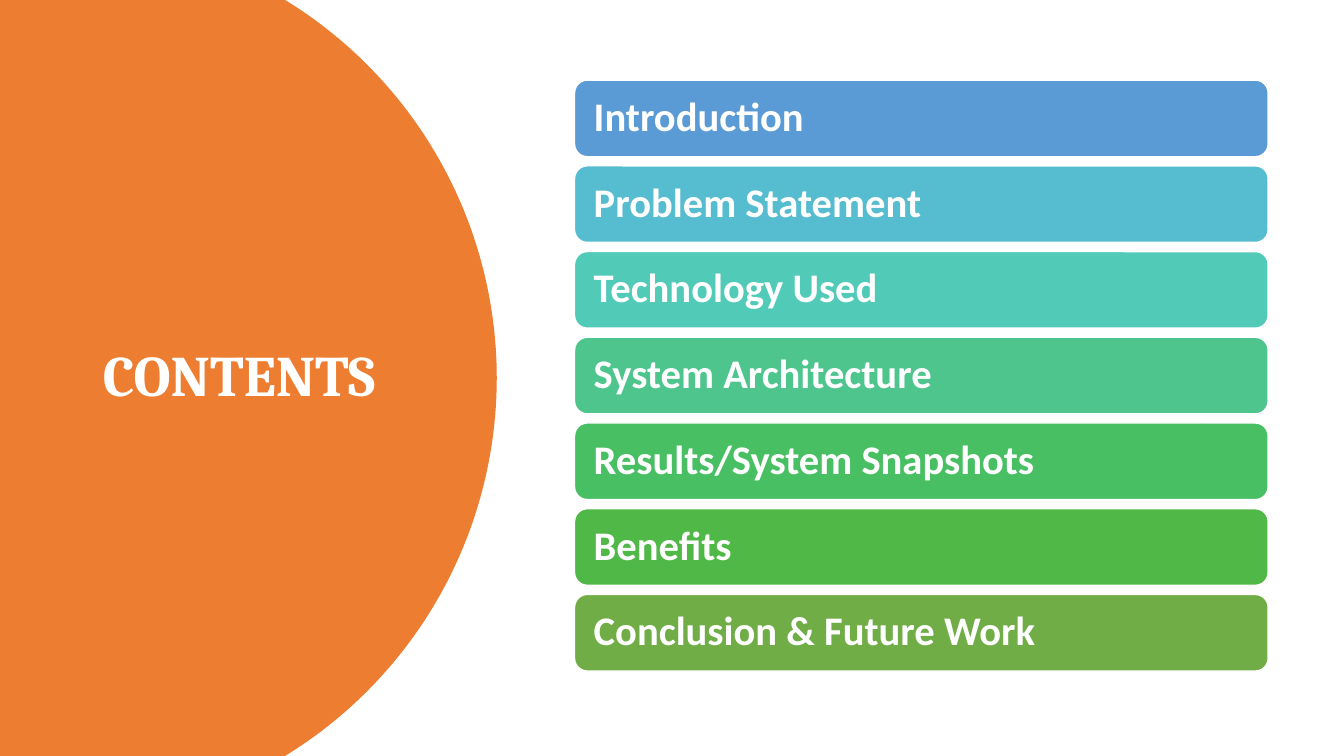
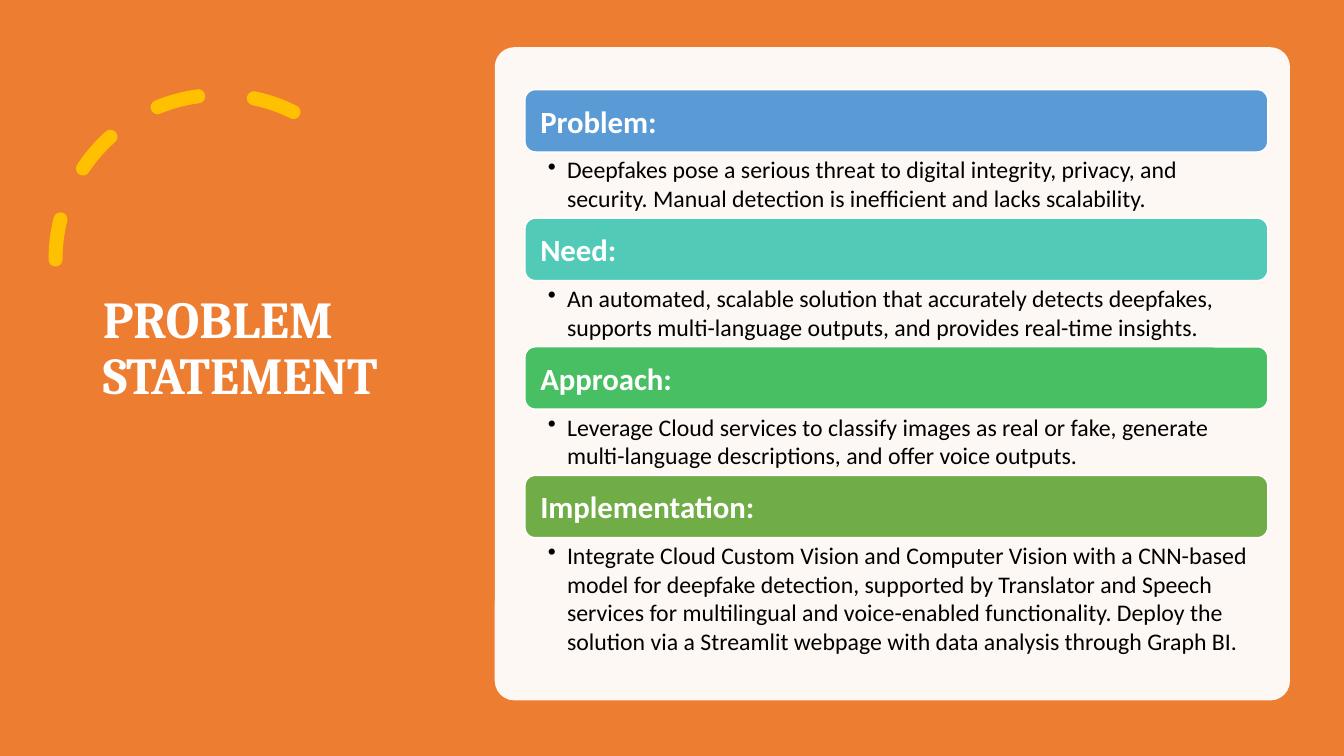
import math

import pptx
import pptx.dml.color
import pptx.enum.dml
import pptx.enum.shapes
import pptx.enum.text
import pptx.oxml
import pptx.oxml.ns
import pptx.util

Cm = pptx.util.Cm
Pt = pptx.util.Pt
MIDDLE = pptx.enum.text.MSO_ANCHOR.MIDDLE
TOP = pptx.enum.text.MSO_ANCHOR.TOP
SHAPES = pptx.enum.shapes.MSO_SHAPE

WIDTH, HEIGHT = 33.87, 19.05
ORANGE, AMBER, WHITE, BLACK = "ED7D31", "FFC000", "FFFFFF", "000000"
BAR_COLOURS = ["5B9BD5", "56BCD0", "52CAB8", "4DC58D", "49BF64", "50B846", "70AD47"]

CONTENTS = [
    "Introduction",
    "Problem Statement",
    "Technology Used",
    "System Architecture",
    "Results/System Snapshots",
    "Benefits",
    "Conclusion & Future Work",
]
SECTIONS = [
    ("Problem:", 1.67,
     "Deepfakes pose a serious threat to digital integrity, privacy, and security. "
     "Manual detection is inefficient and lacks scalability."),
    ("Need:", 1.67,
     "An automated, scalable solution that accurately detects deepfakes, "
     "supports multi-language outputs, and provides real-time insights."),
    ("Approach:", 1.67,
     "Leverage Cloud services to classify images as real or fake, generate "
     "multi-language descriptions, and offer voice outputs."),
    ("Implementation:", 3.1,
     "Integrate Cloud Custom Vision and Computer Vision with a CNN-based model for "
     "deepfake detection, supported by Translator and Speech services for multilingual "
     "and voice-enabled functionality. Deploy the solution via a Streamlit webpage with "
     "data analysis through Graph BI."),
]


def rgb(colour):
    """Turn a hex string into a colour."""
    return pptx.dml.color.RGBColor.from_string(colour)


def box(left, top, width, height):
    """Turn centimetres into the four lengths of a frame."""
    return Cm(left), Cm(top), Cm(width), Cm(height)


def write(frame, text, size, colour=WHITE, font="Calibri", bold=True, spacing=None,
          anchor=MIDDLE, insets=(0.25, 0.13, 0.25, 0.13), bullet_indent=None):
    """Fill a text frame with one formatted paragraph."""
    frame.word_wrap = True
    frame.auto_size = pptx.enum.text.MSO_AUTO_SIZE.NONE
    frame.vertical_anchor = anchor
    (frame.margin_left, frame.margin_top,
     frame.margin_right, frame.margin_bottom) = map(Cm, insets)
    paragraph = frame.paragraphs[0]
    paragraph.alignment = pptx.enum.text.PP_ALIGN.LEFT
    paragraph.line_spacing = spacing
    run = paragraph.add_run()
    run.text = text
    run.font.name, run.font.size, run.font.bold = font, Pt(size), bold
    run.font.color.rgb = rgb(colour)
    if bullet_indent:
        properties = paragraph._p.get_or_add_pPr()
        properties.set("marL", str(Cm(bullet_indent)))
        properties.set("indent", str(-Cm(bullet_indent)))
        bullet = pptx.oxml.parse_xml(
            f'<a:buChar {pptx.oxml.ns.nsdecls("a")} char="•"/>')
        properties.append(bullet)


def paint(shape, fill, line=None, opacity=None):
    """Give a shape a plain fill and an optional one-point outline."""
    shape.shadow.inherit = False
    shape.fill.solid()
    shape.fill.fore_color.rgb = rgb(fill)
    if opacity:
        alpha = pptx.oxml.parse_xml(
            f'<a:alpha {pptx.oxml.ns.nsdecls("a")} val="{opacity * 1000}"/>')
        shape.element.spPr.find(".//" + pptx.oxml.ns.qn("a:srgbClr")).append(alpha)
    if line:
        shape.line.color.rgb = rgb(line)
        shape.line.width = Pt(1)
    else:
        shape.line.fill.background()


def send_to_back(shape):
    """Move a shape behind everything else on its slide."""
    shape.element.getparent().insert(2, shape.element)


def add_titled_slide(deck, title, size, bottom_inset=0.13):
    """Add a slide with its title in the left column."""
    slide = deck.slides.add_slide(deck.slide_layouts[5])
    heading = slide.shapes.title
    heading.left, heading.top, heading.width, heading.height = box(2.34, 1.78, 8.2, 15.47)
    write(heading.text_frame, title, size, font="Cambria", spacing=0.9,
          insets=(0.25, 0.13, 0.25, bottom_inset))
    return slide


def add_bar(slide, frame, text, colour, **text_format):
    """Add a rounded, coloured bar with a label."""
    bar = slide.shapes.add_shape(SHAPES.ROUNDED_RECTANGLE, *box(*frame))
    paint(bar, colour, line=WHITE)
    write(bar.text_frame, text, **text_format)


def add_half_disc(slide):
    """Add the orange disc that runs off the left edge."""
    radius, centre_x, centre_y = 11.17, 1.35, HEIGHT / 2
    limit = math.asin(centre_y / radius)
    steps = 120
    angles = [limit * (2 * step / steps - 1) for step in range(steps + 1)]
    rim = [(Cm(centre_x + radius * math.cos(angle)),
            Cm(centre_y + radius * math.sin(angle))) for angle in angles]
    outline = slide.shapes.build_freeform(0, 0)
    outline.add_line_segments(rim + [(0, Cm(HEIGHT))], close=True)
    disc = outline.convert_to_shape()
    paint(disc, ORANGE)
    send_to_back(disc)


def add_dashed_arc(slide):
    """Add the thick dashed arc above the title."""
    arc = slide.shapes.add_shape(SHAPES.ARC, *box(1.4, 2.39, 8.3, 8.3))
    arc.adjustments[0], arc.adjustments[1] = 146.13, 0
    arc.shadow.inherit = False
    arc.fill.background()
    arc.line.color.rgb = rgb(AMBER)
    arc.line.width = Pt(10)
    arc.line.dash_style = pptx.enum.dml.MSO_LINE.DASH
    arc.element.spPr.find(pptx.oxml.ns.qn("a:ln")).set("cap", "rnd")
    arc.element.spPr.find(pptx.oxml.ns.qn("a:xfrm")).set("flipH", "1")


def build_contents(deck):
    """Build the list of contents."""
    slide = add_titled_slide(deck, "CONTENTS", 41)
    add_half_disc(slide)
    for index, (topic, colour) in enumerate(zip(CONTENTS, BAR_COLOURS)):
        add_bar(slide, (14.48, 2.02 + 2.16 * index, 17.48, 1.93), topic, colour,
                size=29, spacing=0.9, insets=(0.39, 0.3, 0.39, 0.3))


def build_problem(deck):
    """Build the problem statement with its four sections."""
    slide = add_titled_slide(deck, "PROBLEM STATEMENT", 37, bottom_inset=1.55)
    backdrop = slide.shapes.add_shape(SHAPES.RECTANGLE, *box(0, 0, WIDTH, HEIGHT))
    paint(backdrop, ORANGE)
    send_to_back(backdrop)
    add_dashed_arc(slide)
    card = slide.shapes.add_shape(SHAPES.ROUNDED_RECTANGLE, *box(12.47, 1.19, 20.04, 16.46))
    card.adjustments[0] = 0.03
    paint(card, WHITE, opacity=95)

    left, top, width, bar_height = 13.23, 2.26, 18.72, 1.57
    for (label, body_height, body), colour in zip(SECTIONS, BAR_COLOURS[::2]):
        add_bar(slide, (left, top, width, bar_height), label, colour,
                size=22, insets=(0.31, 0.23, 0.31, 0.23))
        top += bar_height
        details = slide.shapes.add_textbox(*box(left, top, width, body_height))
        write(details.text_frame, body, 17, colour=BLACK, bold=False, anchor=TOP,
              insets=(0.58, 0.08, 0.43, 0.08), bullet_indent=0.48)
        top += body_height


def main():
    """Build and save the deck."""
    deck = pptx.Presentation()
    deck.slide_width, deck.slide_height = Cm(WIDTH), Cm(HEIGHT)
    build_contents(deck)
    build_problem(deck)
    deck.save("out.pptx")


if __name__ == "__main__":
    main()
